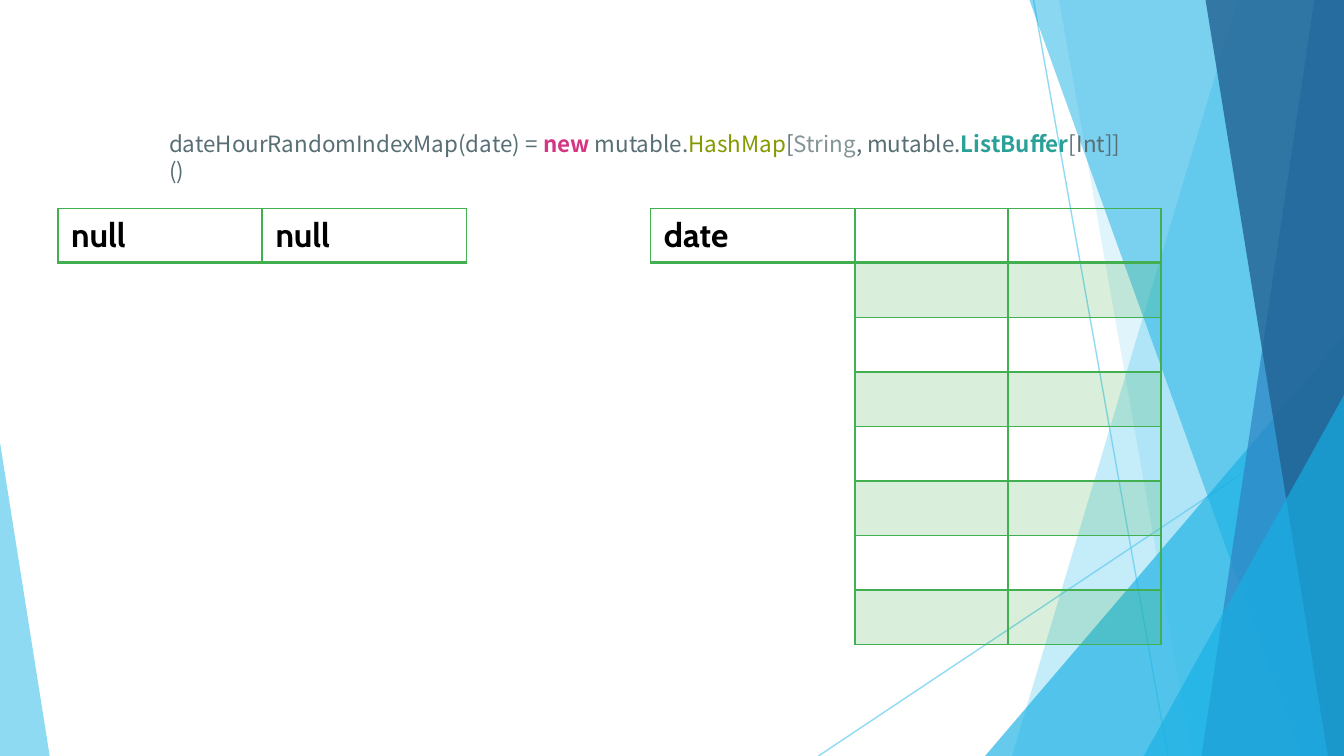
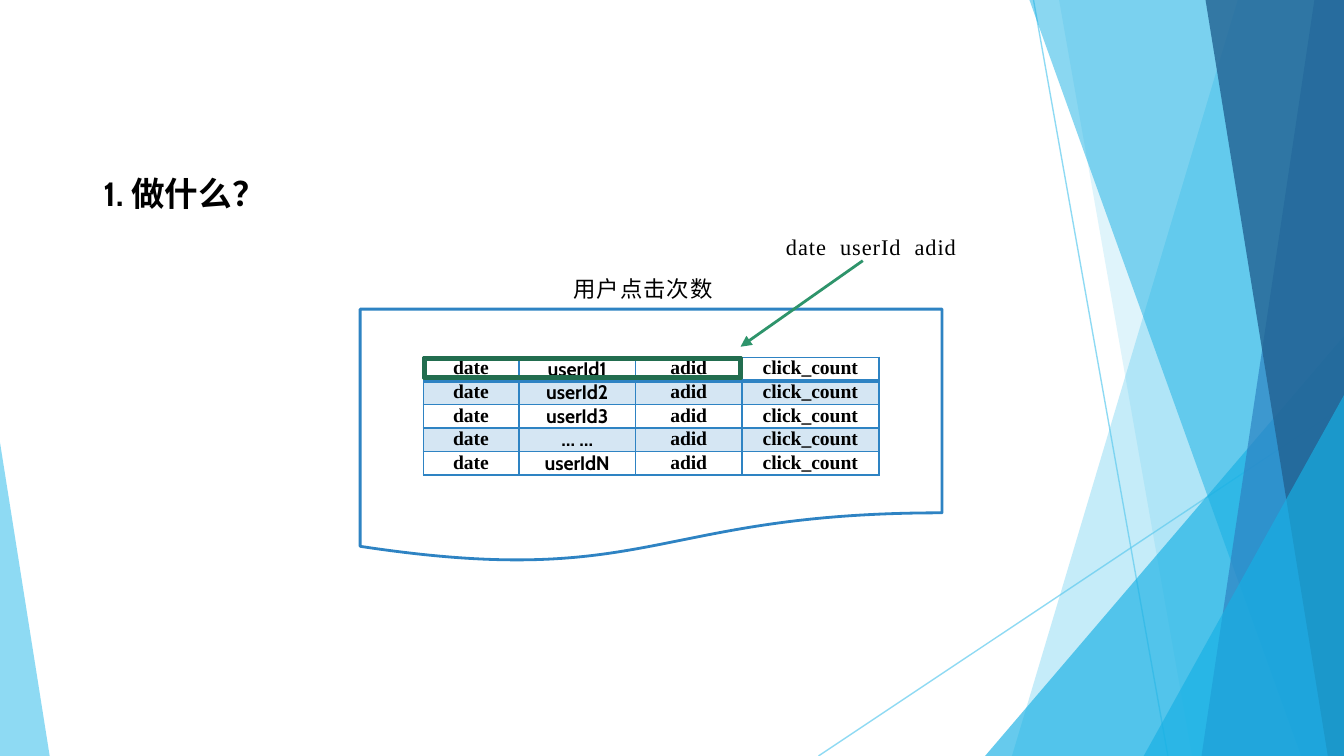
import lxml.etree
import pptx
import pptx.dml.color
import pptx.enum.shapes
import pptx.enum.text
import pptx.oxml.ns
import pptx.util

qn = pptx.oxml.ns.qn
Pt = pptx.util.Pt
MSO = pptx.enum.shapes.MSO_SHAPE
STRAIGHT = pptx.enum.shapes.MSO_CONNECTOR.STRAIGHT
ALIGN = pptx.enum.text.PP_ALIGN

WIDTH, HEIGHT = pptx.util.Inches(10), pptx.util.Inches(5.625)
COLS, ROWS = 100, 56.25

COLORS = {
    "white": "FFFFFF", "black": "000000",
    "sky": "5FCBEF", "cyan": "17B0E4", "blue": "2E83C3", "navy": "226292",
    "green": "42B051", "key": "2E946B", "key_edge": "226D4F",
    "code": "586E75", "keyword": "D33682", "type": "859900",
    "builtin": "839496", "class": "2AA198",
}

BANDS = [
    ("slope", 92.1, 75.3, "sky", 36),
    ("slope", 78.8, 88.7, "sky", 20),
    ("peak", 73.3, 25, "cyan", 66),
    ("slope", 76.6, 96.8, "cyan", 50),
    ("slope", 97.8, 89.4, "blue", 70),
    ("slope", 89.7, 98.8, "navy", 80),
    ("peak", 85.1, 29.4, "cyan", 66),
]

CODE = [
    ("dateHourRandomIndexMap(date) = ", "code", False),
    ("new ", "keyword", True),
    ("mutable.", "code", False),
    ("HashMap", "type", False),
    ("[", "code", False),
    ("String", "builtin", False),
    (", mutable.", "code", False),
    ("ListBuffer", "class", True),
    ("[Int]]()", "code", False),
]

USERS = ["userId1", "userId2", "userId3", "… …", "userIdN"]


def grid(*cells):
    return [round(c * WIDTH / COLS) for c in cells]


def rgb(name):
    return pptx.dml.color.RGBColor.from_string(COLORS[name])


def set_alpha(element, percent):
    for clr in element.iter(qn("a:srgbClr")):
        lxml.etree.SubElement(clr, qn("a:alpha"), val=str(percent * 1000))


def paint(shape, fill, line=None, width=1.5, alpha=None):
    shape.shadow.inherit = False
    shape.fill.solid()
    shape.fill.fore_color.rgb = rgb(fill)
    if line:
        shape.line.color.rgb = rgb(line)
        shape.line.width = Pt(width)
    else:
        shape.line.fill.background()
    if alpha:
        set_alpha(shape.fill._xPr, alpha)
    return shape


def add_line(s, start, end, color, width, alpha=None, arrow=False):
    c = s.shapes.add_connector(STRAIGHT, *grid(*start, *end))
    c.line.color.rgb = rgb(color)
    c.line.width = Pt(width)
    if alpha:
        set_alpha(c.line._ln, alpha)
    if arrow:
        lxml.etree.SubElement(c.line._ln, qn("a:tailEnd"), type="triangle")
    lxml.etree.SubElement(c.element.spPr, qn("a:effectLst"))
    return c


def style(p, font, size, color="black", bold=False):
    p.font.name, p.font.size, p.font.bold = font, Pt(size), bold
    p.font.color.rgb = rgb(color)


def add_text(s, x, y, w, h):
    tf = s.shapes.add_textbox(*grid(x, y, w, h)).text_frame
    tf.word_wrap = True
    return tf.paragraphs[0]


def add_label(s, x, y, w, text):
    p = add_text(s, x, y, w, 3.8)
    p.alignment = ALIGN.JUSTIFY
    p.line_spacing, p.space_after = Pt(20), Pt(1)
    r = p.add_run()
    r.text = text
    r._r.get_or_add_rPr().set("spc", "50")
    style(p, "Times New Roman", 12)


def set_borders(cell, color, top, bottom):
    tcPr = cell._tc.get_or_add_tcPr()
    sides = [("L", 1), ("R", 1), ("T", top), ("B", bottom)]
    for i, (side, width) in enumerate(sides):
        ln = lxml.etree.Element(qn("a:ln" + side), w=str(Pt(width)))
        fill = lxml.etree.SubElement(ln, qn("a:solidFill"))
        lxml.etree.SubElement(fill, qn("a:srgbClr"), val=COLORS[color])
        tcPr.insert(i, ln)


def add_grid_table(s, x, y, widths, row_height, rows, color):
    shape = s.shapes.add_table(
        rows, len(widths), *grid(x, y, sum(widths), row_height * rows))
    table = shape.table
    table.first_row = table.horz_banding = False
    for col, width in zip(table.columns, widths):
        col.width = grid(width)[0]
    for i, row in enumerate(table.rows):
        row.height = grid(row_height)[0]
        for cell in row.cells:
            if i % 2:
                cell.fill.solid()
                cell.fill.fore_color.rgb = rgb(color)
                set_alpha(cell._tc.tcPr, 20)
            else:
                cell.fill.background()
            set_borders(cell, color, 2 if i == 1 else 1, 2 if i == 0 else 1)
    return table


def ribbons(s, w, h):
    add_line(s, (76.9, 0), (86.9, h), "sky", 0.75, 70)
    add_line(s, (w, 30.2), (60.9, h), "sky", 0.75, 70)
    for kind, a, b, color, alpha in BANDS:
        if kind == "slope":
            fb = s.shapes.build_freeform(*grid(a, 0))
            fb.add_line_segments(
                [tuple(grid(*pt)) for pt in [(w, 0), (w, h), (b, h)]])
            shape = fb.convert_to_shape()
        else:
            shape = s.shapes.add_shape(MSO.ISOSCELES_TRIANGLE, *grid(a, b, w - a, h - b))
            shape.adjustments[0] = 1
        paint(shape, color, alpha=alpha)
    corner = s.shapes.add_shape(MSO.ISOSCELES_TRIANGLE, *grid(0, 32.9, 3.7, h - 32.9))
    corner.adjustments[0] = 0
    paint(corner, "sky", alpha=70)


def move_to_master(prs, s):
    for shape in list(s.shapes):
        prs.slide_master.shapes.element.append(shape.element)


def code_line(s, x, y, w):
    p = add_text(s, x, y, w, 3)
    for text, color, bold in CODE:
        r = p.add_run()
        r.text = text
        r.font.bold = bold
        r.font.color.rgb = rgb(color)
    p.font.name, p.font.size = "Noto Sans CJK SC", Pt(12)


def index_map(s, x, y, row_height):
    box_width = 15.2
    date_x = x + 44.1
    add_grid_table(s, date_x + box_width, y, [11.4] * 2, row_height, 8, "green")
    for left, text in [(date_x, "date"), (x, "null"), (x + box_width, "null")]:
        cell = add_grid_table(s, left, y, [box_width], row_height, 1, "green").cell(0, 0)
        cell.text = text
        style(cell.text_frame.paragraphs[0], "Cabin", 18, bold=True)


def heading(s, x, y, w, h, text):
    title = s.shapes.title
    title.left, title.top, title.width, title.height = grid(x, y, w, h)
    tf = title.text_frame
    tf.text = text
    tf.word_wrap = True
    tf.auto_size = pptx.enum.text.MSO_AUTO_SIZE.NONE
    tf.vertical_anchor = pptx.enum.text.MSO_ANCHOR.MIDDLE
    p = tf.paragraphs[0]
    p.alignment = ALIGN.LEFT
    style(p, "Cabin", 18, bold=True)


def click_table(s, x, y, widths):
    table = add_grid_table(s, x, y, widths, 1.75, len(USERS), "blue")
    for i, user in enumerate(USERS):
        for j, text in enumerate(["date", user, "adid", "click_count"]):
            cell = table.cell(i, j)
            cell.margin_left = cell.margin_right = grid(0.7)[0]
            cell.margin_top = cell.margin_bottom = 0
            cell.text = text
            p = cell.text_frame.paragraphs[0]
            p.alignment = ALIGN.CENTER
            style(p, "Cabin" if j == 1 else "Times New Roman", 10.5, bold=True)


def click_panel(s, x, y, w, h):
    widths = [7.1, 8.7, 7.9, 10.2]
    table_x, table_y, key_width = x + 4.7, y + 3.6, sum(widths[:3])
    add_label(s, x + 14.9, y - 3.8, 13.4, "用户点击次数")
    paint(s.shapes.add_shape(MSO.FLOWCHART_DOCUMENT, *grid(x, y, w, h)), "white", "blue")
    click_table(s, table_x, table_y, widths)
    frame = s.shapes.add_shape(MSO.FRAME, *grid(table_x, table_y, key_width, 1.6))
    paint(frame, "key", "key_edge")
    add_line(s, (x + 37.4, y - 3.6), (table_x + key_width - 0.1, y + 2.8),
             "key", 1.5, arrow=True)
    add_label(s, x + 30.7, y - 6.9, 15.4, "date  userId  adid")


def main():
    prs = pptx.Presentation()
    prs.slide_width, prs.slide_height = WIDTH, HEIGHT

    s = prs.slides.add_slide(prs.slide_layouts[6])
    ribbons(s, COLS, ROWS)
    move_to_master(prs, s)
    index_map(s, 4.3, 15.5, 4.05)
    code_line(s, 11.6, 9.2, 73.8)

    s = prs.slides.add_slide(prs.slide_layouts[5])
    heading(s, 6.7, 12.4, 14.2, 4, "1. 做什么？")
    click_panel(s, 26.8, 23, 43.3, 18.9)

    prs.save("out.pptx")


if __name__ == "__main__":
    main()
